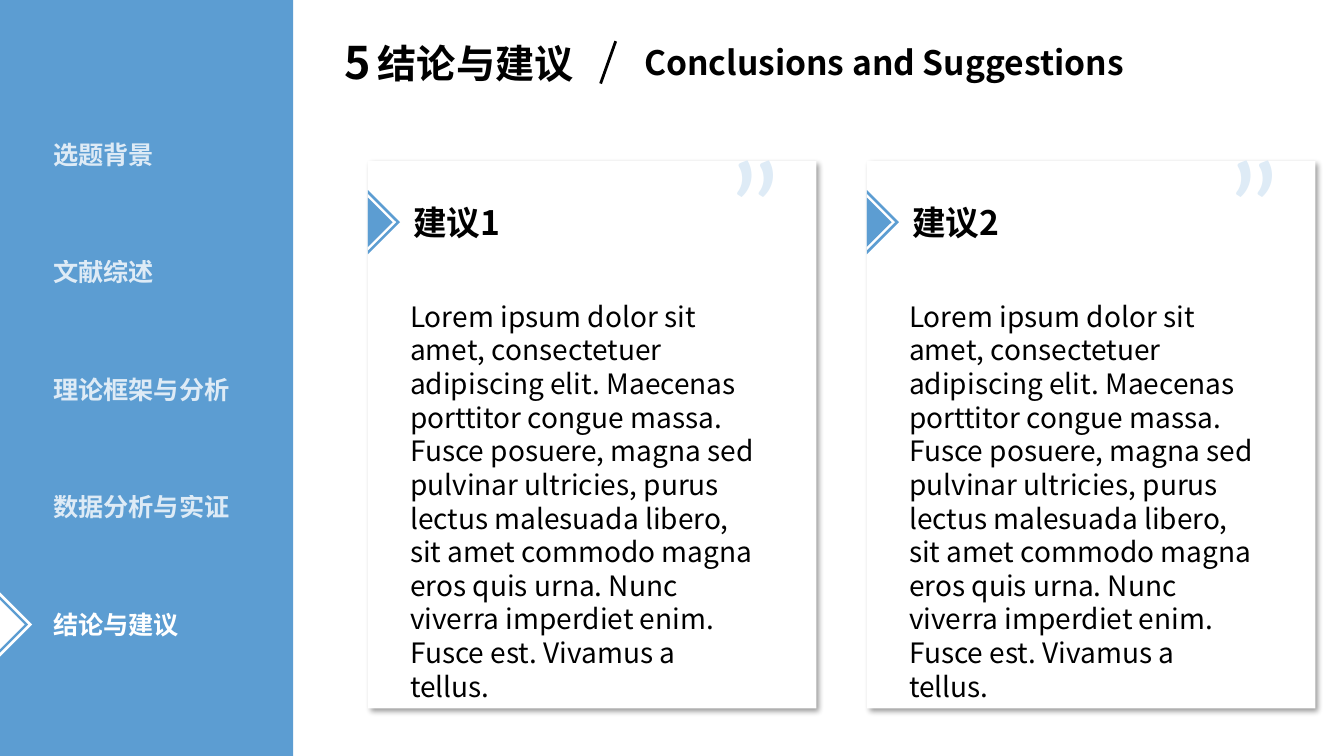
"""Build the conclusions slide with its section sidebar and two suggestion cards."""
from dataclasses import dataclass
from typing import Optional

from lxml.etree import SubElement
from pptx import Presentation
from pptx.dml.color import RGBColor
from pptx.enum.shapes import MSO_CONNECTOR, MSO_SHAPE
from pptx.enum.text import MSO_AUTO_SIZE, PP_ALIGN
from pptx.oxml.ns import qn
from pptx.shapes.autoshape import Shape
from pptx.util import Emu, Inches, Pt

BLUE = RGBColor(0x5C, 0x9D, 0xD2)
PALE_BLUE = RGBColor(0xDE, 0xEB, 0xF6)
WHITE = RGBColor(0xFF, 0xFF, 0xFF)
BLACK = RGBColor(0x00, 0x00, 0x00)

SLIDE_WIDTH, SLIDE_HEIGHT = Inches(13.33), Inches(7.5)
COLUMNS, ROWS = 32, 18
MAIN_FONT, QUOTE_FONT = "Noto Sans CJK SC", "Calibri"

SECTIONS = ["选题背景", "文献综述", "理论框架与分析", "数据分析与实证", "结论与建议"]
SECTION_TOP, SECTION_PITCH, SECTION_HEIGHT = 3.19, 2.8, 0.96
CARD_LEFT, CARD_TOP, CARD_PITCH = 8.76, 3.84, 11.88
ARROW_SIZES = (1.08, 0.95, 0.83)
SUGGESTIONS = ["建议1", "建议2"]
BODY = (
    "Lorem ipsum dolor sit amet, consectetuer adipiscing elit. Maecenas porttitor "
    "congue massa. Fusce posuere, magna sed pulvinar ultricies, purus lectus malesuada "
    "libero, sit amet commodo magna eros quis urna. Nunc viverra imperdiet enim. "
    "Fusce est. Vivamus a tellus."
)


@dataclass(frozen=True)
class Box:
    left: float
    top: float
    width: float
    height: float

    def lengths(self) -> tuple[Emu, Emu, Emu, Emu]:
        return across(self.left), down(self.top), across(self.width), down(self.height)


@dataclass(frozen=True)
class Label:
    text: str
    box: Box
    size: int
    color: RGBColor = BLACK
    bold: bool = True
    font: str = MAIN_FONT
    wrap: bool = True
    alignment: PP_ALIGN = PP_ALIGN.LEFT
    opacity: Optional[int] = None


def across(columns: float) -> Emu:
    return Emu(round(SLIDE_WIDTH * columns / COLUMNS))


def down(rows: float) -> Emu:
    return Emu(round(SLIDE_HEIGHT * rows / ROWS))


def add_label(shapes, label: Label) -> None:
    frame = shapes.add_textbox(*label.box.lengths()).text_frame
    frame.word_wrap = label.wrap
    frame.auto_size = MSO_AUTO_SIZE.SHAPE_TO_FIT_TEXT
    paragraph = frame.paragraphs[0]
    run = paragraph.add_run()
    run.text = label.text
    paragraph.alignment = label.alignment
    font = run.font
    font.size, font.bold, font.name = Pt(label.size), label.bold, label.font
    font.color.rgb = label.color
    properties = run._r.get_or_add_rPr()
    SubElement(properties, qn("a:ea"), typeface=label.font)
    if label.opacity is not None:
        color = properties.find(qn("a:solidFill")).find(qn("a:srgbClr"))
        SubElement(color, qn("a:alpha"), val=str(label.opacity * 1000))


def add_filled(shapes, kind: MSO_SHAPE, box: Box, color: RGBColor) -> Shape:
    shape = shapes.add_shape(kind, *box.lengths())
    shape.shadow.inherit = False
    shape.fill.solid()
    shape.fill.fore_color.rgb = color
    shape.line.fill.background()
    return shape


def add_arrow(shapes, left: float, middle: float, outer: RGBColor, gap: RGBColor) -> None:
    for size, color in zip(ARROW_SIZES, (outer, gap, outer)):
        box = Box(left - size / 2, middle - size / 2, size, size)
        add_filled(shapes, MSO_SHAPE.RIGHT_TRIANGLE, box, color).rotation = 225


def add_shadow(shape: Shape) -> None:
    effects = shape._element.spPr.find(qn("a:effectLst"))
    shadow = SubElement(
        effects, qn("a:outerShdw"), blurRad=str(Pt(4)), dist=str(Pt(3)),
        dir=str(45 * 60000), algn="tl", rotWithShape="0",
    )
    color = SubElement(shadow, qn("a:srgbClr"), val=str(BLACK))
    SubElement(color, qn("a:alpha"), val="40000")


def add_sidebar(shapes) -> None:
    add_filled(shapes, MSO_SHAPE.RECTANGLE, Box(0, 0, 6.98, ROWS), BLUE)
    for index, section in enumerate(SECTIONS):
        top = SECTION_TOP + index * SECTION_PITCH
        current = section == SECTIONS[-1]
        box = Box(1.03, top, 4.75, SECTION_HEIGHT)
        add_label(shapes, Label(section, box, 18, WHITE, alignment=PP_ALIGN.JUSTIFY,
                                opacity=None if current else 80))
        if current:
            arrow = shapes.add_group_shape().shapes
            add_arrow(arrow, 0, top + SECTION_HEIGHT / 2, WHITE, BLUE)


def add_heading(shapes) -> None:
    for label in (
        Label("5", Box(7.97, 0.72, 1.03, 1.54), 32, wrap=False),
        Label("结论与建议", Box(8.76, 0.82, 5.54, 1.37), 28),
        Label("Conclusions and Suggestions", Box(15.1, 0.89, 14.23, 1.2), 24),
    ):
        add_label(shapes, label)
    slash = shapes.add_connector(
        MSO_CONNECTOR.STRAIGHT, across(14.66), down(0.98), across(14.3), down(1.99)
    )
    slash.line.color.rgb = BLACK
    slash.line.width = Pt(2)
    SubElement(slash._element.spPr, qn("a:effectLst"))


def add_card(shapes, left: float, title: str) -> None:
    top = CARD_TOP
    card = shapes.add_group_shape().shapes
    panel = add_filled(card, MSO_SHAPE.RECTANGLE, Box(left, top, 10.68, 13.03), WHITE)
    add_shadow(panel)
    for label in (
        Label("”", Box(left + 8.3, top - 1.08, 3.72, 4.13), 96, PALE_BLUE,
              bold=False, font=QUOTE_FONT, wrap=False),
        Label(title, Box(left + 0.84, top + 0.84, 4.13, 1.2), 24),
        Label(BODY, Box(left + 0.77, top + 3.17, 8.71, 8.33), 20, bold=False),
    ):
        add_label(card, label)
    add_arrow(card, left, top + 1.45, BLUE, WHITE)


def main() -> None:
    presentation = Presentation()
    presentation.slide_width, presentation.slide_height = SLIDE_WIDTH, SLIDE_HEIGHT
    slide = presentation.slides.add_slide(presentation.slide_layouts[6])
    add_sidebar(slide.shapes)
    add_heading(slide.shapes)
    for index, title in enumerate(SUGGESTIONS):
        add_card(slide.shapes, CARD_LEFT + index * CARD_PITCH, title)
    presentation.save("out.pptx")


if __name__ == "__main__":
    main()
